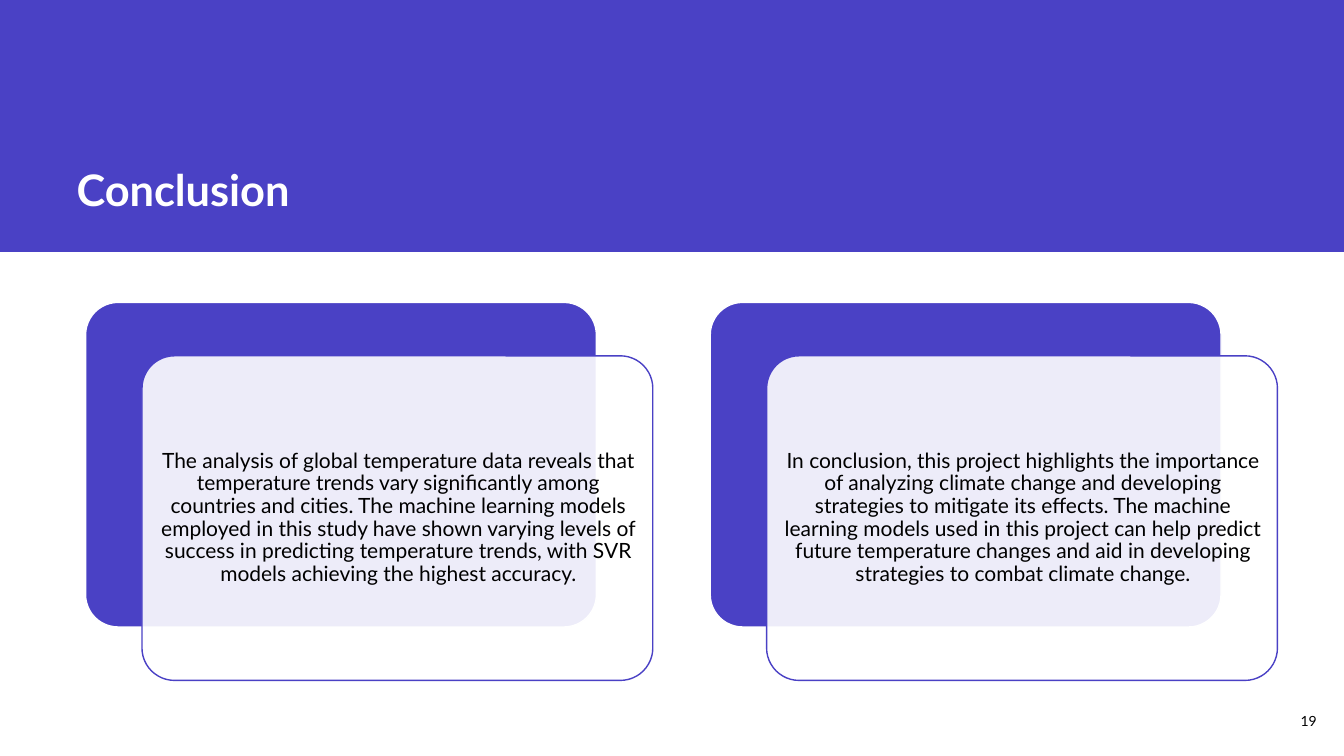
"""Builds the Conclusion slide: a title band and two layered text cards."""
from pptx import Presentation
from pptx.dml.color import RGBColor
from pptx.enum.shapes import MSO_SHAPE as SHAPE
from pptx.enum.text import MSO_ANCHOR as ANCHOR, MSO_AUTO_SIZE as AUTO, PP_ALIGN as ALIGN
from pptx.oxml.ns import qn
from pptx.util import Pt
from lxml.etree import SubElement

PX = 9144
VIOLET, WHITE, BLACK = "4A41C5", "FFFFFF", "000000"
CARDS = [
    "The analysis of global temperature data reveals that temperature trends vary "
    "significantly among countries and cities. The machine learning models employed "
    "in this study have shown varying levels of success in predicting temperature "
    "trends, with SVR models achieving the highest accuracy.",
    "In conclusion, this project highlights the importance of analyzing climate change "
    "and developing strategies to mitigate its effects. The machine learning models used "
    "in this project can help predict future temperature changes and aid in developing "
    "strategies to combat climate change.",
]


def add_box(kind, x, y, w, h, fill, line=None):
    sp = s.shapes.add_shape(kind, x * PX, y * PX, w * PX, h * PX)
    sp.shadow.inherit = False
    sp.fill.solid()
    sp.fill.fore_color.rgb = RGBColor.from_string(fill)
    if line:
        sp.line.color.rgb = RGBColor.from_string(line)
        sp.line.width = Pt(1)
        sp.adjustments[0] = 0.1
    else:
        sp.line.fill.background()
    return sp


def write(sp, text, size, color, align, anchor, inset, spacing=1.0, bold=False, wrap=True):
    tf = sp.text_frame
    frame = dict.fromkeys(("margin_left", "margin_top", "margin_right", "margin_bottom"), inset * PX)
    frame.update(auto_size=AUTO.NONE, word_wrap=wrap, vertical_anchor=anchor)
    for name, value in frame.items():
        setattr(tf, name, value)
    p = tf.paragraphs[0]
    p.alignment, p.line_spacing = align, spacing
    r = p.add_run()
    r.text = text
    for name, value in {"name": "Lato", "size": Pt(size), "bold": bold}.items():
        setattr(r.font, name, value)
    r.font.color.rgb = RGBColor.from_string(color)


prs = Presentation()
prs.slide_width, prs.slide_height = 1334 * PX, 750 * PX
s = prs.slides.add_slide(prs.slide_layouts[5])

title = s.shapes.title
title.left, title.top, title.width, title.height = [n * PX for n in (71, 157, 389, 62)]
write(title, "Conclusion", 31, WHITE, ALIGN.LEFT, ANCHOR.BOTTOM, 5, spacing=0.9, bold=True)
band = add_box(SHAPE.RECTANGLE, 0, 0, 1334, 250, VIOLET)
title.element.addprevious(band.element)

for i, text in enumerate(CARDS):
    x = 85 + 620 * i
    add_box(SHAPE.ROUNDED_RECTANGLE, x, 300, 507, 322, VIOLET, WHITE)
    front = add_box(SHAPE.ROUNDED_RECTANGLE, x + 56, 353, 507, 322, WHITE, VIOLET)
    color = front.element.spPr.find(qn("a:solidFill"))[0]
    SubElement(color, qn("a:alpha"), val="90000")
    body = s.shapes.add_textbox((x + 66) * PX, 429 * PX, 489 * PX, 170 * PX)
    write(body, text, 15, BLACK, ALIGN.CENTER, ANCHOR.MIDDLE, 6, spacing=0.9)

number = s.shapes.add_textbox(1285 * PX, 702 * PX, 27 * PX, 27 * PX)
write(number, "19", 10, BLACK, ALIGN.RIGHT, ANCHOR.MIDDLE, 5, wrap=False)

prs.save("out.pptx")
